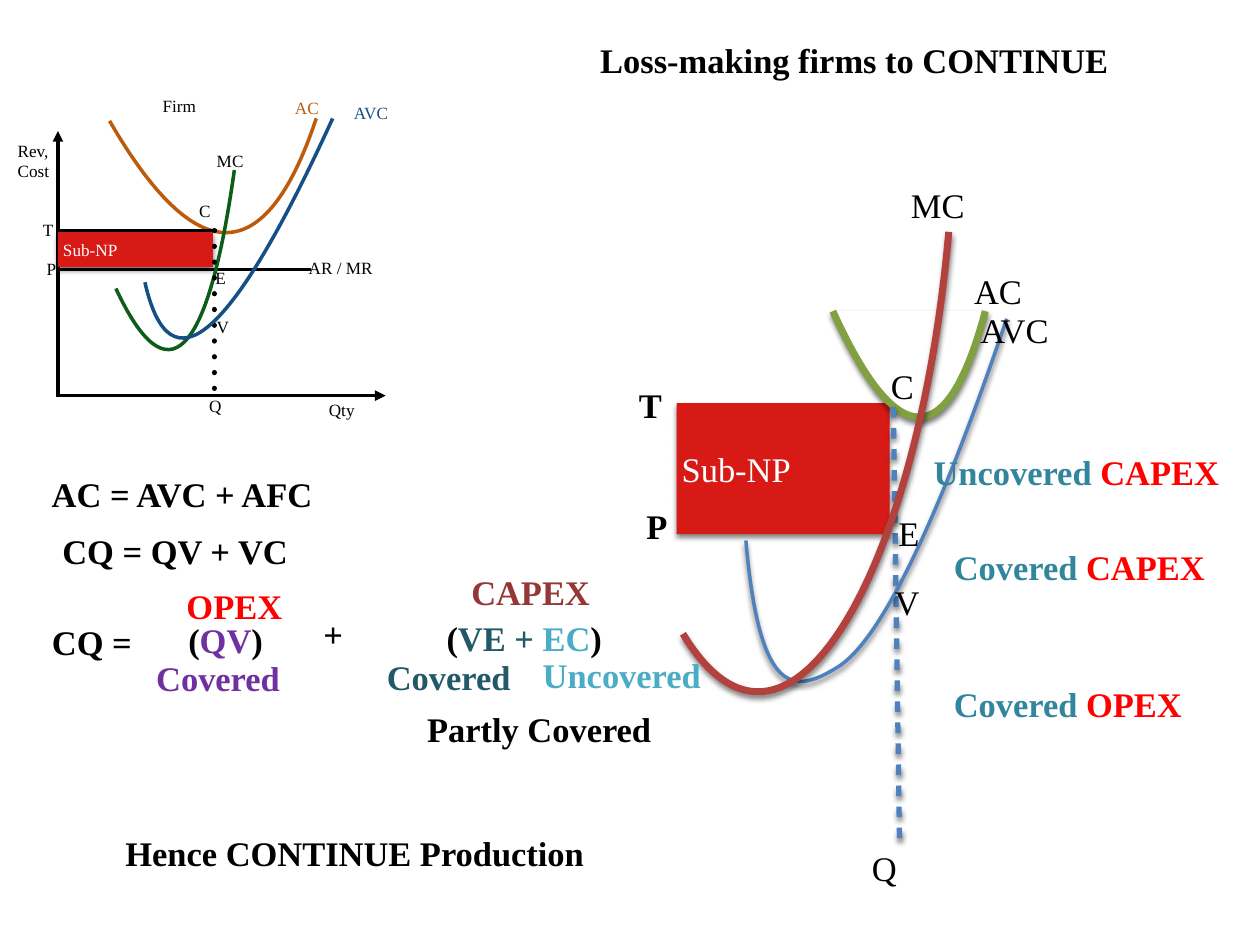
import pptx
import pptx.util
import pptx.dml.color
import pptx.enum.shapes
import pptx.enum.text
import pptx.oxml
import pptx.oxml.ns
from pptx.util import Inches

THEME = {
    "font": "Times New Roman", "large": 19.7, "small": 9.8,
    "black": "000000", "white": "FFFFFF", "loss": "D71A16", "red": "FF0000",
    "orange": "BD5B0C", "green": "0B5D18", "navy": "164F86",
    "olive": "81A041", "blue": "4F81BD", "brick": "B3423F",
    "purple": "7030A0", "petrol": "215968", "aqua": "4BACC6",
    "maroon": "953735", "teal": "31859C",
}

TITLE = ("Loss-making firms to CONTINUE", (4.55, 0.17, 4.46, 0.6))

# Small diagram of the firm, back to front
FIRM = [
    ("line", (0.46, 3.15, 0.46, 1.04), "black", 2, {"arrow": True}),
    ("line", (0.47, 3.14, 3.06, 3.14), "black", 2, {"arrow": True}),
    ("loss", (0.46, 1.84, 1.23, 0.28), "Sub-NP", "small"),
    ("line", (0.47, 2.14, 2.47, 2.14), "black", 2, {}),
    ("curve", [(2.51, 0.94), (2.11, 2.14), (1.56, 2.15), (0.87, 0.96)], "orange", 2, {}),
    ("curve", [(1.86, 1.35), (1.65, 2.85), (1.33, 3.17), (0.92, 2.29)], "green", 2, {}),
    ("line", (1.7, 1.83, 1.7, 3.16), "black", 3, {"dash": (1, 2), "cap": "rnd"}),
    ("line", (0.46, 1.83, 1.72, 1.83), "black", 2, {}),
    ("curve", [(1.15, 2.24), (1.35, 3.12), (1.84, 2.69), (2.64, 0.94)], "navy", 2, {}),
]
FIRM_LABELS = [
    ("Qty", (2.61, 3.17, 0.52, 0.17), "black"),
    ("Rev, Cost", (0.14, 1.11, 0.52, 0.31), "black"),
    ("AR / MR", (2.45, 2.04, 0.68, 0.17), "black"),
    ("AC", (2.34, 0.77, 0.28, 0.19), "orange"),
    ("MC", (1.72, 1.19, 0.45, 0.35), "black"),
    ("Q", (1.66, 3.14, 0.48, 0.23), "black"),
    ("C", (1.58, 1.59, 0.18, 0.19), "black"),
    ("E", (1.71, 2.12, 0.25, 0.17), "black"),
    ("P", (0.37, 2.05, 0.25, 0.17), "black"),
    ("AVC", (2.81, 0.81, 0.5, 0.19), "navy"),
    ("V", (1.72, 2.51, 0.33, 0.3), "black"),
    ("Firm", (1.29, 0.76, 0.95, 0.19), "black"),
    ("T", (0.34, 1.74, 0.25, 0.17), "black"),
]

# Equations and conclusion: runs, box, alignment
EQUATIONS = [
    ([("Hence CONTINUE Production", "black")], (0.31, 6.42, 5.01, 0.7), "c"),
    ([("AC = AVC + AFC", "black")], (0.31, 3.6, 2.27, 0.64), "c"),
    ([("CQ = QV + VC", "black")], (0.12, 4.08, 2.54, 0.58), "c"),
    ([("CQ =", "black")], (0.01, 4.86, 1.44, 0.47), "c"),
    ([("(", "black"), ("VE + ", "petrol"), ("EC", "aqua"), (") ", "black")],
     (3.16, 4.77, 2.07, 0.58), "c"),
    ([("(", "black"), ("QV", "purple"), (")", "black")], (1.07, 4.82, 1.44, 0.52), "c"),
    ([("+", "black")], (2.29, 4.73, 0.71, 0.6), "c"),
    ([("Partly Covered", "black")], (3.39, 5.53, 2.01, 0.5), "j"),
    ([("Covered", "purple")], (1.24, 5.19, 1.26, 0.38), "j"),
    ([("Covered", "petrol")], (3.07, 5.18, 1.26, 0.38), "j"),
    ([("OPEX", "red")], (1.48, 4.58, 1.05, 0.46), "j"),
    ([("Uncovered", "aqua")], (4.06, 5.07, 1.75, 0.57), "c"),
    ([("CAPEX ", "maroon")], (3.45, 4.48, 1.59, 0.43), "c"),
    ([("Covered ", "teal"), ("CAPEX", "red")], (7.57, 4.14, 2.06, 0.71), "l"),
    ([("Covered ", "teal"), ("OPEX", "red")], (7.57, 5.24, 2.11, 0.69), "j"),
    ([("Uncovered ", "teal"), ("CAPEX", "red")], (7.41, 3.39, 2.48, 0.71), "l"),
]

# Enlarged diagram, back to front
ENLARGED = [
    ("loss", (5.37, 3.2, 1.69, 1.04), "Sub-NP", "large"),
    ("curve", [(7.82, 2.47), (7.52, 3.59), (7.12, 3.59), (6.61, 2.47)], "olive", 4,
     {"fill": "white", "shadow": True}),
    ("line", (7.09, 3.23, 7.14, 6.73), "blue", 3, {"dash": (2, 2), "shadow": True}),
    ("curve", [(5.92, 4.29), (6.03, 5.55), (6.31, 5.5), (6.64, 5.3),
               (6.98, 5.1), (7.43, 4.18), (7.99, 2.53)], "blue", 2, {"shadow": True}),
    ("curve", [(7.53, 1.84), (7.29, 4.56), (6.24, 6.39), (5.42, 5.03)], "brick", 4,
     {"shadow": True}),
]
POINT_LABELS = [
    ("E", (7.13, 4.06, 0.48, 0.41)), ("V", (7.1, 4.61, 0.45, 0.45)),
    ("C", (7.07, 2.9, 0.25, 0.29)), ("Q", (6.92, 6.72, 0.45, 0.45)),
]
CURVE_LABELS = [  # text, box, bold
    ("P", (5.09, 3.95, 0.34, 0.45), True), ("T", (5.03, 2.99, 0.34, 0.45), True),
    ("AC", (7.69, 2.08, 0.65, 0.46), False), ("AVC", (7.74, 2.37, 1.03, 0.5), False),
    ("MC", (7.19, 1.37, 0.63, 0.51), False),
]

ALIGN = {"l": pptx.enum.text.PP_ALIGN.LEFT, "c": pptx.enum.text.PP_ALIGN.CENTER,
         "j": pptx.enum.text.PP_ALIGN.JUSTIFY}
SHADOW = ('<a:outerShdw blurRad="38100" dist="25400" dir="5400000" rotWithShape="0">'
          '<a:srgbClr val="000000"><a:alpha val="50000"/></a:srgbClr></a:outerShdw>')

prs = pptx.Presentation()
prs.slide_width, prs.slide_height = Inches(10), Inches(7.5)
slide = prs.slides.add_slide(prs.slide_layouts[5])
shapes = slide.shapes


def add_xml(parent, tag, content="", attributes=""):
    names = pptx.oxml.ns.nsdecls("a")
    parent.append(pptx.oxml.parse_xml(f"<a:{tag} {names} {attributes}>{content}</a:{tag}>"))


def set_shadow(shape, shown):
    add_xml(shape._element.spPr, "effectLst", SHADOW if shown else "")


def write(shape, runs, size="large", align="l", bold=False, middle=False, inset=0):
    frame = shape.text_frame
    frame.word_wrap = True
    frame.auto_size = pptx.enum.text.MSO_AUTO_SIZE.NONE
    anchors = pptx.enum.text.MSO_ANCHOR
    frame.vertical_anchor = anchors.MIDDLE if middle else anchors.TOP
    frame.margin_left = frame.margin_right = Inches(inset)
    frame.margin_top = frame.margin_bottom = Inches(inset)
    paragraph = frame.paragraphs[0]
    paragraph.alignment = ALIGN[align]
    for text, color in runs:
        run = paragraph.add_run()
        run.text = text
        run.font.name, run.font.bold = THEME["font"], bold
        run.font.size = pptx.util.Pt(THEME[size])
        run.font.color.rgb = rgb(color)


def rgb(name):
    return pptx.dml.color.RGBColor.from_string(THEME[name])


def label(runs, box, **style):
    write(shapes.add_textbox(*map(Inches, box)), runs, **style)


def stroke(shape, color, width):
    shape.line.color.rgb = rgb(color)
    shape.line.width = pptx.util.Pt(width)


def add_line(ends, color, width, look):
    line = shapes.add_connector(pptx.enum.shapes.MSO_CONNECTOR.STRAIGHT, *map(Inches, ends))
    stroke(line, color, width)
    ln = line.line._get_or_add_ln()
    if "dash" in look:
        ln.set("cap", look.get("cap", "flat"))
        dash, gap = (part * 100000 for part in look["dash"])
        add_xml(ln, "custDash", f'<a:ds d="{dash}" sp="{gap}"/>')
    if look.get("arrow"):
        add_xml(ln, "tailEnd", attributes='type="triangle"')
    set_shadow(line, look.get("shadow"))


def extent(controls, axis):
    """Smallest and largest coordinate that the Bezier curve reaches."""
    reached = []
    for first in range(0, len(controls) - 1, 3):
        a, b, c, d = (point[axis] for point in controls[first:first + 4])
        for t in (step / 100 for step in range(101)):
            u = 1 - t
            reached.append(u**3 * a + 3 * u * u * t * b + 3 * u * t * t * c + t**3 * d)
    return Inches(min(reached)), Inches(max(reached))


def add_curve(controls, color, width, look):
    (left, right), (top, bottom) = extent(controls, 0), extent(controls, 1)
    builder = shapes.build_freeform(left, top)
    builder.add_line_segments([(right, bottom)], close=False)
    curve = builder.convert_to_shape()
    # Swap the straight segment for cubic segments in the same frame
    outline = curve._element.find(".//" + pptx.oxml.ns.qn("a:path"))
    for segment in list(outline):
        outline.remove(segment)
    marks = [f'<a:pt x="{Inches(x) - left}" y="{Inches(y) - top}"/>' for x, y in controls]
    add_xml(outline, "moveTo", marks[0])
    for first in range(1, len(marks), 3):
        add_xml(outline, "cubicBezTo", "".join(marks[first:first + 3]))
    if "fill" in look:
        curve.fill.solid()
        curve.fill.fore_color.rgb = rgb(look["fill"])
    else:
        curve.fill.background()
    stroke(curve, color, width)
    set_shadow(curve, look.get("shadow"))


def add_loss(box, text, size):
    area = shapes.add_shape(pptx.enum.shapes.MSO_SHAPE.RECTANGLE, *map(Inches, box))
    area.fill.solid()
    area.fill.fore_color.rgb = rgb("loss")
    area.line.fill.background()
    set_shadow(area, True)
    write(area, [(text, "white")], size=size, middle=True, inset=0.04)


DRAW = {"line": add_line, "curve": add_curve, "loss": add_loss}

# Title
title = shapes.title
title.left, title.top, title.width, title.height = map(Inches, TITLE[1])
write(title, [(TITLE[0], "black")], align="c", bold=True, middle=True, inset=0.05)

# Diagrams with their labels
for kind, *details in FIRM + ENLARGED:
    DRAW[kind](*details)
for text, box, color in FIRM_LABELS:
    label([(text, color)], box, size="small")
for text, box in POINT_LABELS:
    label([(text, "black")], box)
for text, box, bold in CURVE_LABELS:
    label([(text, "black")], box, bold=bold, middle=True, inset=0.04)

# Equations
for runs, box, align in EQUATIONS:
    label(runs, box, align=align, bold=True, middle=True)

prs.save("out.pptx")
